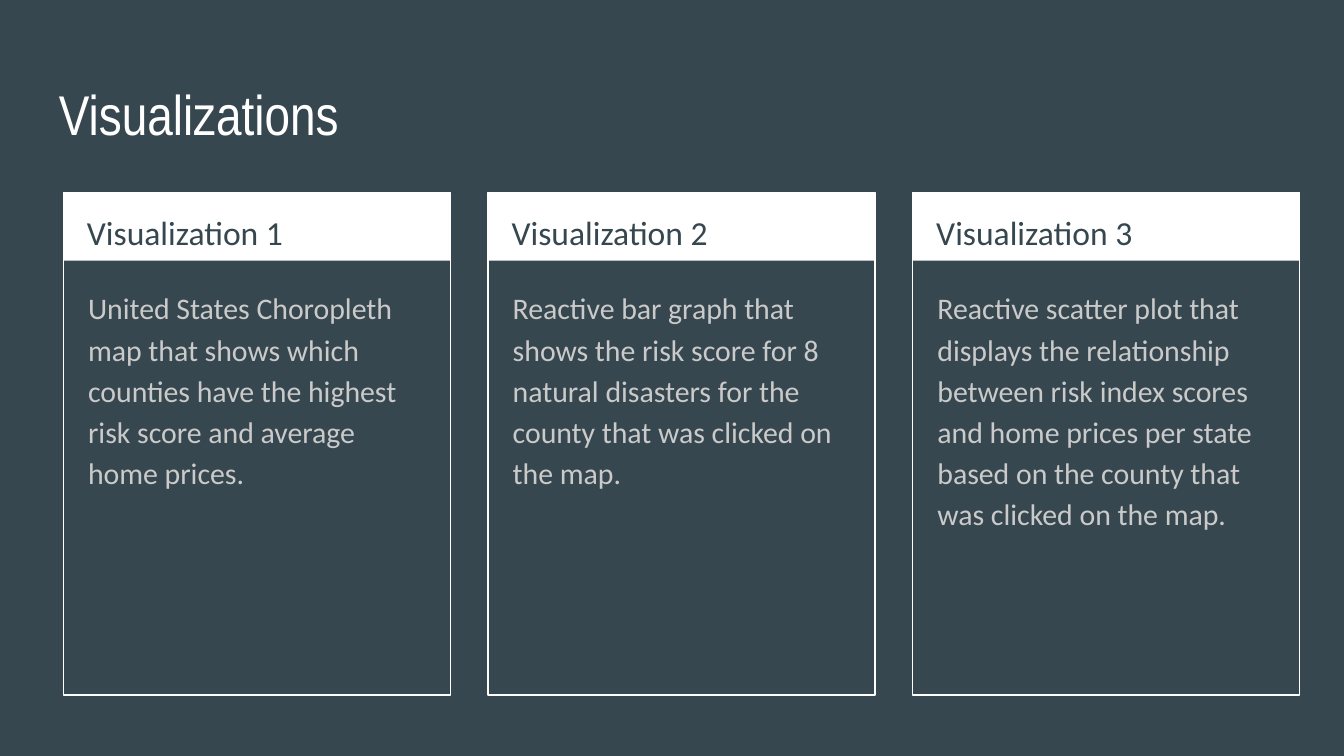
from pptx import Presentation
from pptx.dml.color import RGBColor
from pptx.enum.shapes import MSO_SHAPE
from pptx.enum.text import MSO_ANCHOR
from pptx.util import Pt

# Content
TITLE = "Visualizations"
CARDS = [
    ("Visualization 1",
     "United States Choropleth map that shows which counties have the "
     "highest risk score and average home prices."),
    ("Visualization 2",
     "Reactive bar graph that shows the risk score for 8 natural disasters "
     "for the county that was clicked on the map."),
    ("Visualization 3",
     "Reactive scatter plot that displays the relationship between risk "
     "index scores and home prices per state based on the county that was "
     "clicked on the map."),
]
COLORS = {"back": "37474F", "white": "FFFFFF", "body": "CACACA"}

# Layout in points
LEFT, TOP, WIDTH, HEIGHT = 33.9, 103, 207.4, 269.3
STEP = 227.5
HEAD = 36.6
INSET = 7.2

deck = Presentation()
deck.slide_width, deck.slide_height = Pt(720), Pt(405)
slide = deck.slides.add_slide(deck.slide_layouts[6])


def color(name):
    return RGBColor.from_string(COLORS[name])


def add_text(box, text, font, size, tint, spacing=1.0, after=0):
    shape = slide.shapes.add_textbox(*map(Pt, box))
    frame = shape.text_frame
    frame.word_wrap = True
    frame.vertical_anchor = MSO_ANCHOR.TOP
    frame.margin_left = frame.margin_right = Pt(INSET)
    frame.margin_top = frame.margin_bottom = Pt(INSET)
    frame.text = text
    para = frame.paragraphs[0]
    para.line_spacing = spacing
    para.space_after = Pt(after)
    style = para.runs[0].font
    style.name, style.size = font, Pt(size)
    style.color.rgb = color(tint)


def add_rect(box, fill=None, line=None):
    shape = slide.shapes.add_shape(MSO_SHAPE.RECTANGLE, *map(Pt, box))
    shape.shadow.inherit = False
    if fill:
        shape.fill.solid()
        shape.fill.fore_color.rgb = color(fill)
    else:
        shape.fill.background()
    if line:
        shape.line.color.rgb = color(line)
        shape.line.width = Pt(0.75)
    else:
        shape.line.fill.background()


# Background and title
slide.background.fill.solid()
slide.background.fill.fore_color.rgb = color("back")
add_text((24.5, 35.3, 671, 45.4), TITLE, "Arial Narrow", 30, "white")

# Cards: header band, outline, heading, description
for i, (head, body) in enumerate(CARDS):
    x = LEFT + i * STEP
    add_rect((x, TOP, WIDTH, HEAD), fill="white")
    add_rect((x, TOP, WIDTH, HEIGHT), line="white")
    add_text((x + 5.6, TOP, 196.6, 36), head, "Calibri", 18, "back", 1.15)
    add_text((x + 6.2, 145.4, 195.1, 220.3), body, "Calibri", 16, "body",
             1.15, 16)

deck.save("out.pptx")
